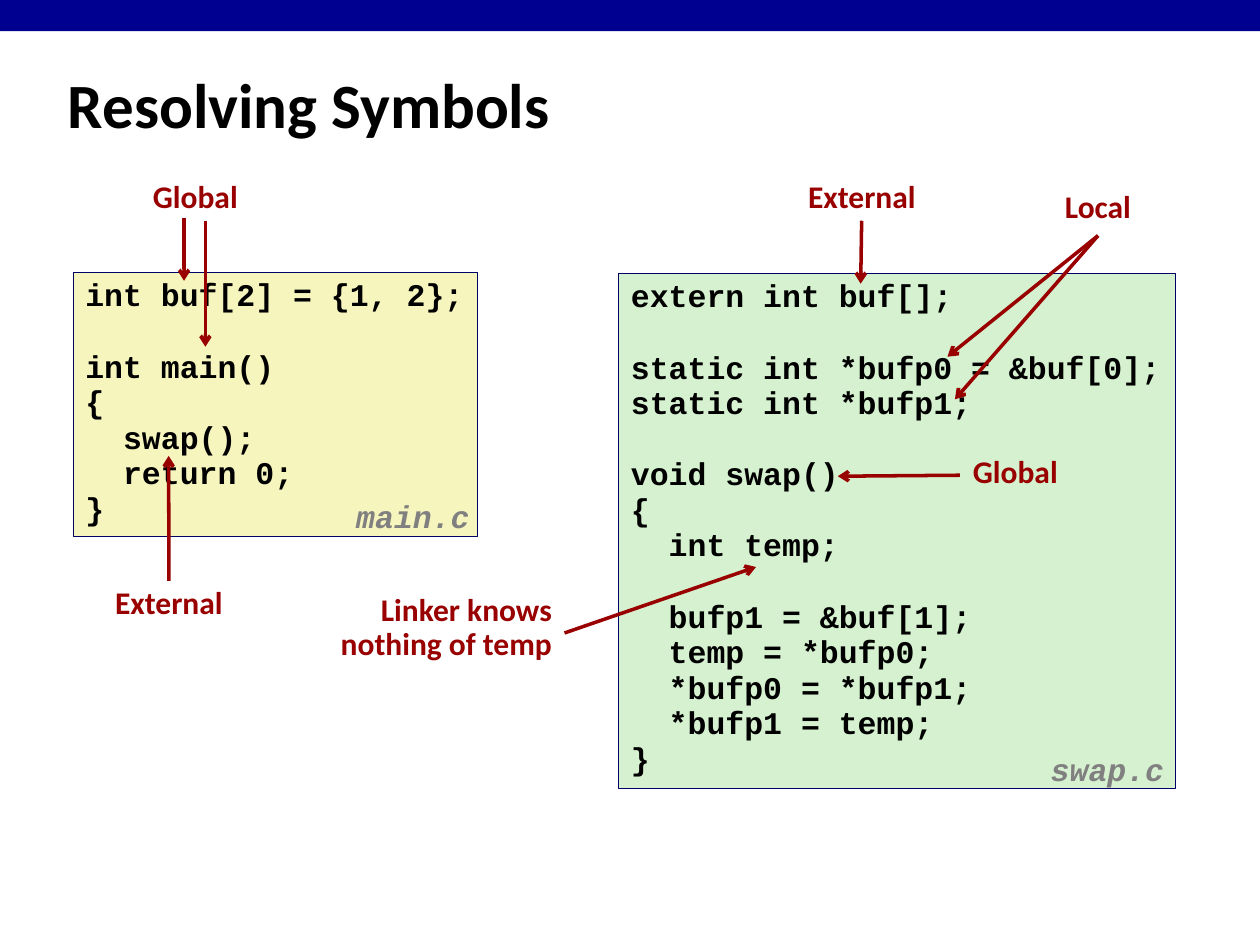
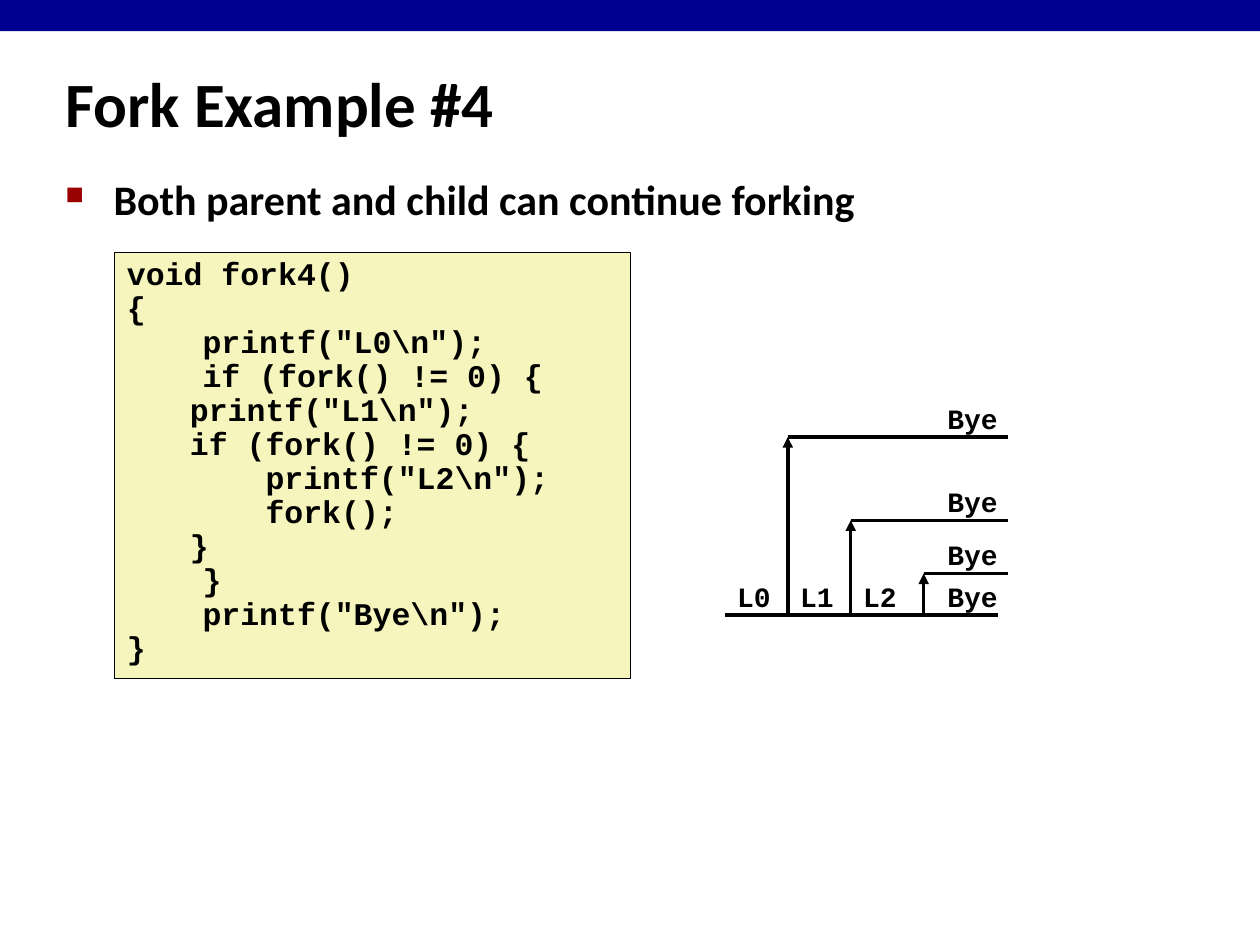
"""Build two lecture slides on symbol resolution and process forking."""
from dataclasses import dataclass
from typing import Any, Optional

from lxml.etree import SubElement
from pptx import Presentation
from pptx.dml.color import RGBColor
from pptx.enum.shapes import MSO_CONNECTOR, MSO_SHAPE
from pptx.enum.text import MSO_ANCHOR, MSO_AUTO_SIZE, PP_ALIGN
from pptx.oxml.ns import qn
from pptx.util import Cm, Pt

COLORS = {
    "band": "000090",
    "text": "000000",
    "accent": "990000",
    "file_name": "808080",
    "yellow": "F6F5BD",
    "green": "D5F1CF",
    "navy": "000066",
}
TITLE = {"name": "Calibri", "size": Pt(36), "bold": True}
BULLET = TITLE | {"size": Pt(24)}
LABEL = TITLE | {"size": Pt(18)}
CODE = {"name": "Courier New", "size": Pt(18), "bold": True}
FILE_NAME = CODE | {"italic": True}
TREE = CODE | {"size": Pt(16)}
FITTED = {"word_wrap": False, "auto_size": MSO_AUTO_SIZE.SHAPE_TO_FIT_TEXT}
WRAPPED = {"word_wrap": True, "auto_size": MSO_AUTO_SIZE.NONE}
BLANK_LINE = Pt(20.4)
BOTTOM, LEFT, RIGHT, TOP = 2, 1, 3, 0

MAIN_CODE = """int buf[2] = {1, 2};

int main()
{
  swap();
  return 0;
}"""
SWAP_CODE = """extern int buf[];

static int *bufp0 = &buf[0];
static int *bufp1;

void swap()
{
  int temp;

  bufp1 = &buf[1];
  temp = *bufp0;
  *bufp0 = *bufp1;
  *bufp1 = temp;
}"""
FORK_CODE = """void fork4()
{
    printf("L0\\n");
    if (fork() != 0) {
\tprintf("L1\\n");
\tif (fork() != 0) {
\t    printf("L2\\n");
\t    fork();
\t}
    }
    printf("Bye\\n");
}"""


@dataclass
class Box:
    """A rectangle in centimetres."""
    left: float
    top: float
    width: float
    height: float

    def lengths(self) -> list[Cm]:
        """Return the position and size as lengths."""
        return [Cm(value) for value in (self.left, self.top, self.width, self.height)]


@dataclass
class Panel:
    """A filled box of code."""
    box: Box
    code: str
    fill: str
    outline: str
    line_spacing: float


@dataclass
class Arrow:
    """An arrow, optionally starting at a side of its label."""
    start: tuple[float, float]
    tip: tuple[float, float]
    side: Optional[int] = None


@dataclass
class Label:
    """A note with the arrows that leave it."""
    text: str
    box: Box
    arrows: list[Arrow]
    alignment: PP_ALIGN = PP_ALIGN.CENTER


@dataclass
class Fork:
    """A fork on the process line and the height its child runs at."""
    x: float
    child_y: float


def set_values(target: Any, values: dict[str, Any]) -> None:
    """Set every listed attribute on the target."""
    for name, value in values.items():
        setattr(target, name, value)


def rgb(color: str) -> RGBColor:
    """Look up a named colour."""
    return RGBColor.from_string(COLORS[color])


def write_text(shape: Any, text: str, font: dict[str, Any], color: str = "text",
               frame: dict[str, Any] = FITTED, alignment: PP_ALIGN = PP_ALIGN.LEFT,
               line_spacing: float = 1.0) -> None:
    """Write lines as paragraphs, turning empty lines into space before."""
    text_frame = shape.text_frame
    set_values(text_frame, {"vertical_anchor": MSO_ANCHOR.TOP} | frame)
    paragraph, gap = text_frame.paragraphs[0], None
    for index, line in enumerate(text.split("\n")):
        if not line:
            gap = BLANK_LINE
            continue
        if index:
            paragraph = text_frame.add_paragraph()
        set_values(paragraph, {"alignment": alignment, "line_spacing": line_spacing,
                               "space_before": gap})
        run = paragraph.add_run()
        run.text = line
        set_values(run.font, font)
        run.font.color.rgb = rgb(color)
        gap = None


def add_text(slide: Any, box: Box, text: str, font: dict[str, Any], **options: Any) -> Any:
    """Add a text box."""
    shape = slide.shapes.add_textbox(*box.lengths())
    write_text(shape, text, font, **options)
    return shape


def add_rectangle(slide: Any, box: Box, fill: str) -> Any:
    """Add a filled rectangle without outline or shadow."""
    shape = slide.shapes.add_shape(MSO_SHAPE.RECTANGLE, *box.lengths())
    shape.shadow.inherit = False
    shape.fill.solid()
    shape.fill.fore_color.rgb = rgb(fill)
    shape.line.fill.background()
    return shape


def add_panel(slide: Any, panel: Panel) -> None:
    """Add a code panel."""
    shape = add_rectangle(slide, panel.box, panel.fill)
    shape.line.color.rgb = rgb(panel.outline)
    shape.line.width = Pt(0.25)
    write_text(shape, panel.code, CODE, line_spacing=panel.line_spacing)


def add_line(slide: Any, start: tuple[float, float], end: tuple[float, float],
             color: str = "text", head: Optional[str] = None) -> Any:
    """Add a straight line with an optional arrowhead at its end."""
    points = [Cm(value) for value in (*start, *end)]
    connector = slide.shapes.add_connector(MSO_CONNECTOR.STRAIGHT, *points)
    connector.line.color.rgb = rgb(color)
    connector.line.width = Pt(2)
    properties = connector.element.spPr
    if head:
        SubElement(properties.find(qn("a:ln")), qn("a:tailEnd"), type=head)
    SubElement(properties, qn("a:effectLst"))
    return connector


def add_label(slide: Any, label: Label) -> None:
    """Add a note and its arrows."""
    shape = add_text(slide, label.box, label.text, LABEL, color="accent",
                     alignment=label.alignment, line_spacing=0.9)
    for arrow in label.arrows:
        connector = add_line(slide, arrow.start, arrow.tip, "accent", "arrow")
        if arrow.side is not None:
            connector.begin_connect(shape, arrow.side)


def add_bullet(slide: Any, box: Box, text: str) -> None:
    """Add a line of text with a square bullet."""
    shape = add_text(slide, box, text, BULLET, frame=WRAPPED)
    properties = shape.text_frame.paragraphs[0]._p.get_or_add_pPr()
    properties.set("marL", str(Cm(0.97)))
    properties.set("indent", str(-Cm(0.97)))
    bullet_color = SubElement(properties, qn("a:buClr"))
    SubElement(bullet_color, qn("a:srgbClr"), val=COLORS["accent"])
    SubElement(properties, qn("a:buSzPct"), val="60000")
    SubElement(properties, qn("a:buChar"), char="■")


def add_titled_slide(presentation: Any, title: str, box: Box) -> Any:
    """Add a blank slide with the top band and a title."""
    slide = presentation.slides.add_slide(presentation.slide_layouts[6])
    add_rectangle(slide, Box(0, 0, 25.4, 0.63), "band")
    add_text(slide, box, title, TITLE, frame=WRAPPED | {"vertical_anchor": MSO_ANCHOR.MIDDLE})
    return slide


def add_process_tree(slide: Any, forks: list[Fork]) -> None:
    """Draw the process line, the children forked from it and their output."""
    base_y, end_x, child_end_x = 12.4, 20.12, 20.32
    label_rise, label_height = 0.84, 0.94
    stops = [14.61, *(fork.x for fork in forks), end_x]
    for left, right in zip(stops, stops[1:]):
        add_line(slide, (left, base_y), (right, base_y))
    for number, left in enumerate(stops[:len(forks)]):
        add_text(slide, Box(left, base_y - label_rise, 1.19, label_height), f"L{number}", TREE)
    for fork in forks:
        add_line(slide, (fork.x, base_y), (fork.x, fork.child_y), head="triangle")
        add_line(slide, (fork.x, fork.child_y), (child_end_x, fork.child_y))
    for y in [*(fork.child_y for fork in forks), base_y]:
        add_text(slide, Box(18.85, y - label_rise, 1.52, label_height), "Bye", TREE)


def build_symbols_slide(presentation: Any) -> None:
    """Build the slide on resolving symbols."""
    slide = add_titled_slide(presentation, "Resolving Symbols", Box(1.12, 0.99, 24.21, 2.18))
    add_panel(slide, Panel(Box(1.47, 5.49, 8.15, 5.33), MAIN_CODE, "yellow", "navy", 0.94))
    add_panel(slide, Panel(Box(12.47, 5.51, 11.23, 10.39), SWAP_CODE, "green", "navy", 0.94))
    for name, left, top in (("main.c", 6.93, 9.96), ("swap.c", 20.93, 15.06)):
        add_text(slide, Box(left, top, 2.79, 0.99), name, FILE_NAME, color="file_name",
                 alignment=PP_ALIGN.CENTER, line_spacing=0.94)
    labels = [
        Label("Global", Box(2.82, 3.53, 2.24, 1.02),
              [Arrow((3.71, 4.39), (3.71, 5.66)), Arrow((4.14, 4.45), (4.14, 6.99))]),
        Label("External", Box(2.06, 11.71, 2.69, 1.02),
              [Arrow((3.4, 11.71), (3.4, 9.19), TOP)]),
        Label("External", Box(16.03, 3.53, 2.69, 1.02), [Arrow((17.37, 4.45), (17.35, 5.72))]),
        Label("Local", Box(21.21, 3.73, 1.85, 1.02),
              [Arrow((22.14, 4.75), (19.1, 7.19), BOTTOM),
               Arrow((22.14, 4.75), (19.25, 8.05), BOTTOM)]),
        Label("Global", Box(19.35, 9.07, 2.24, 1.02),
              [Arrow((19.35, 9.58), (16.89, 9.6), LEFT)]),
        Label("Linker knows\nnothing of temp", Box(6.58, 11.86, 4.8, 1.8),
              [Arrow((11.38, 12.76), (15.24, 11.43), RIGHT)], PP_ALIGN.RIGHT),
    ]
    for label in labels:
        add_label(slide, label)


def build_fork_slide(presentation: Any) -> None:
    """Build the slide on nested forks."""
    slide = add_titled_slide(presentation, "Fork Example #4", Box(1.07, 1.27, 14.15, 1.6))
    add_bullet(slide, Box(1.07, 3.38, 21.95, 2.13), "Both parent and child can continue forking")
    add_panel(slide, Panel(Box(2.31, 5.08, 10.39, 8.59), FORK_CODE, "yellow", "text", 0.9))
    add_process_tree(slide, [Fork(15.88, 8.81), Fork(17.15, 10.49), Fork(18.62, 11.56)])


def main() -> None:
    """Build and save the presentation."""
    presentation = Presentation()
    set_values(presentation, {"slide_width": Cm(25.4), "slide_height": Cm(19.05)})
    build_symbols_slide(presentation)
    build_fork_slide(presentation)
    presentation.save("out.pptx")


if __name__ == "__main__":
    main()
